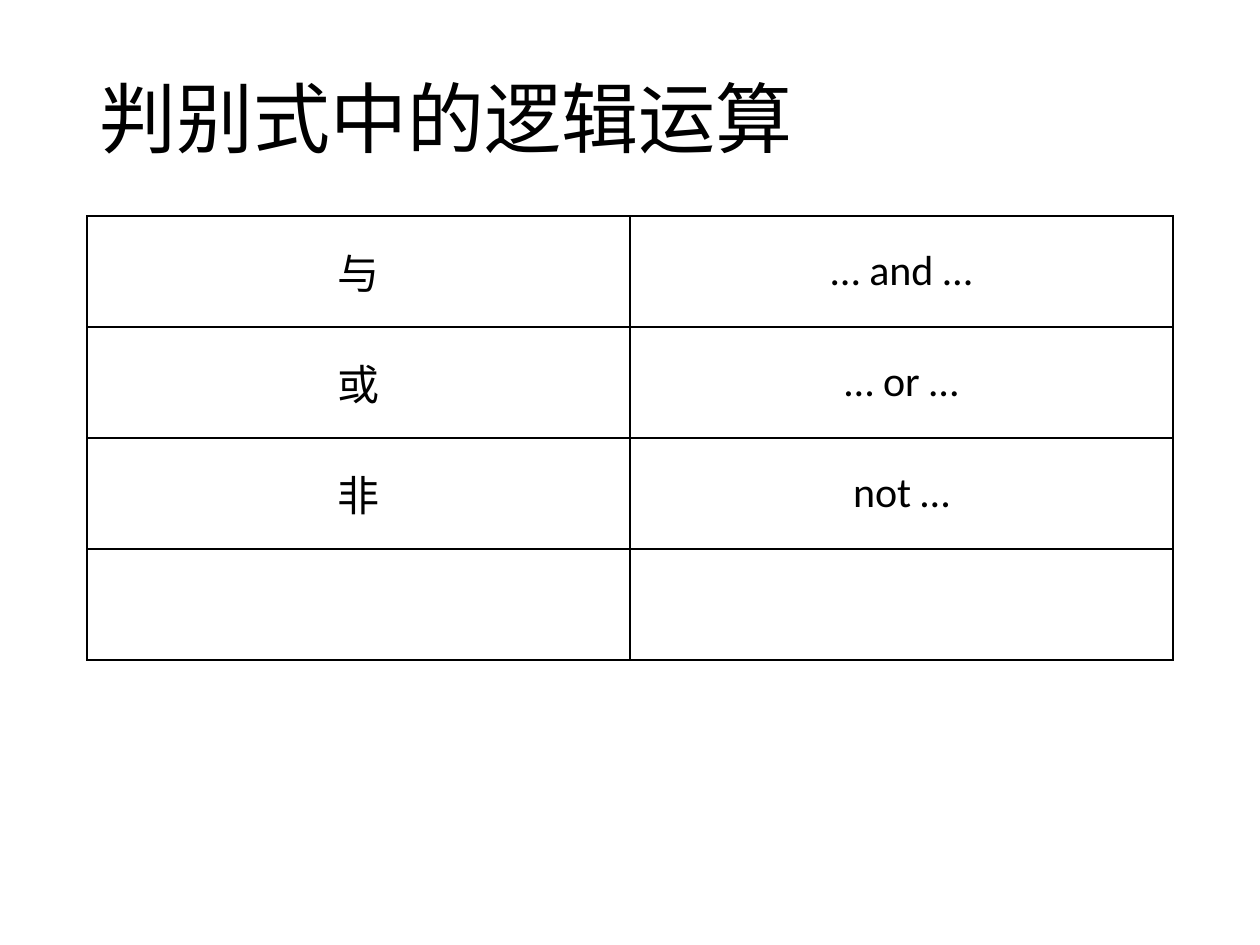
from pptx import Presentation
from pptx.dml.color import RGBColor
from pptx.enum.text import MSO_ANCHOR, PP_ALIGN
from pptx.oxml import parse_xml
from pptx.oxml.ns import nsdecls
from pptx.util import Pt

PX = 914400 // 126
INK = "000000"
LEFT, WIDE = 87, 1086
ROWS = [("与", "… and …"), ("或", "… or …"), ("非", "not …"), ("", "")]


def px(*nums):
    return [num * PX for num in nums]


def tint(code):
    return RGBColor.from_string(code)


def put(item, vals):
    for key, val in vals.items():
        setattr(item, key, val)


def write(para, text, size, **form):
    put(para, form)
    put(para.font, {"size": Pt(size), "name": "Calibri"})
    para.font.color.rgb = tint(INK)
    if text:
        run = para.add_run()
        run.text = text
        put(run.font, {"size": Pt(size), "name": "Calibri"})
        run.font.color.rgb = tint(INK)


def add_title(slide, text):
    frame = slide.shapes.add_textbox(*px(LEFT, 50, WIDE, 146)).text_frame
    put(frame, {"word_wrap": True, "vertical_anchor": MSO_ANCHOR.MIDDLE})
    write(frame.paragraphs[0], text, 44, line_spacing=0.9)


def edge(cell):
    """Draw a 1 pt line on each side of the cell."""
    props = cell._tc.get_or_add_tcPr()
    for spot, side in enumerate("LRTB"):
        props.insert(spot, parse_xml(
            f'<a:ln{side} {nsdecls("a")} w="{Pt(1)}"><a:solidFill>'
            f'<a:srgbClr val="{INK}"/></a:solidFill></a:ln{side}>'))


def add_grid(slide, rows):
    place = px(LEFT, 216, WIDE, 111 * len(rows))
    grid = slide.shapes.add_table(len(rows), len(rows[0]), *place).table
    put(grid, {"first_row": False, "horz_banding": False})
    for row, texts in zip(grid.rows, rows):
        for cell, text in zip(row.cells, texts):
            cell.fill.background()
            cell.vertical_anchor = MSO_ANCHOR.MIDDLE
            write(cell.text_frame.paragraphs[0], text, 24,
                  alignment=PP_ALIGN.CENTER)
            edge(cell)


def main():
    deck = Presentation()
    wide, high = px(1260, 945)
    put(deck, {"slide_width": wide, "slide_height": high})
    slide = deck.slides.add_slide(deck.slide_layouts[6])
    add_title(slide, "判别式中的逻辑运算")
    add_grid(slide, ROWS)
    deck.save("out.pptx")


if __name__ == "__main__":
    main()
